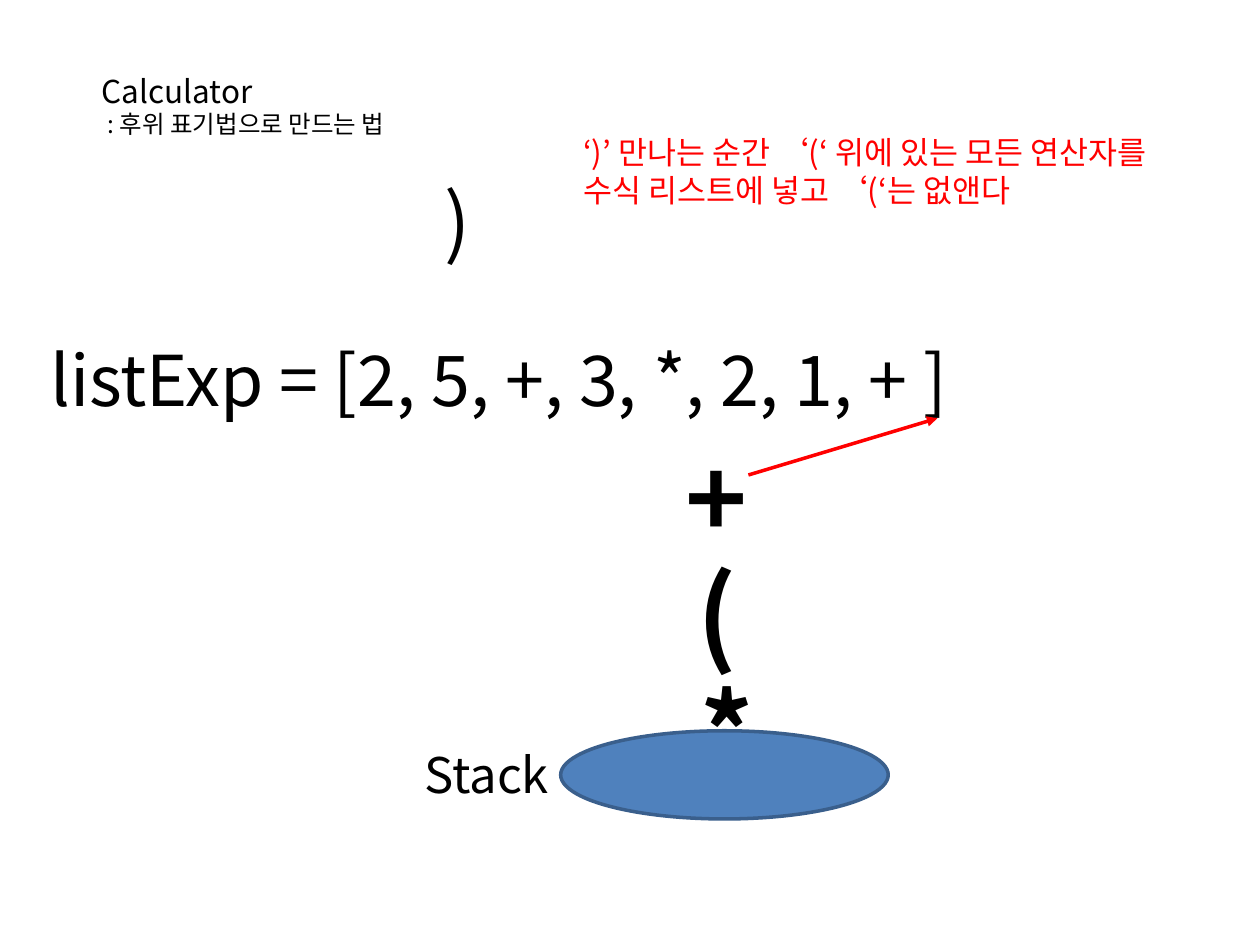
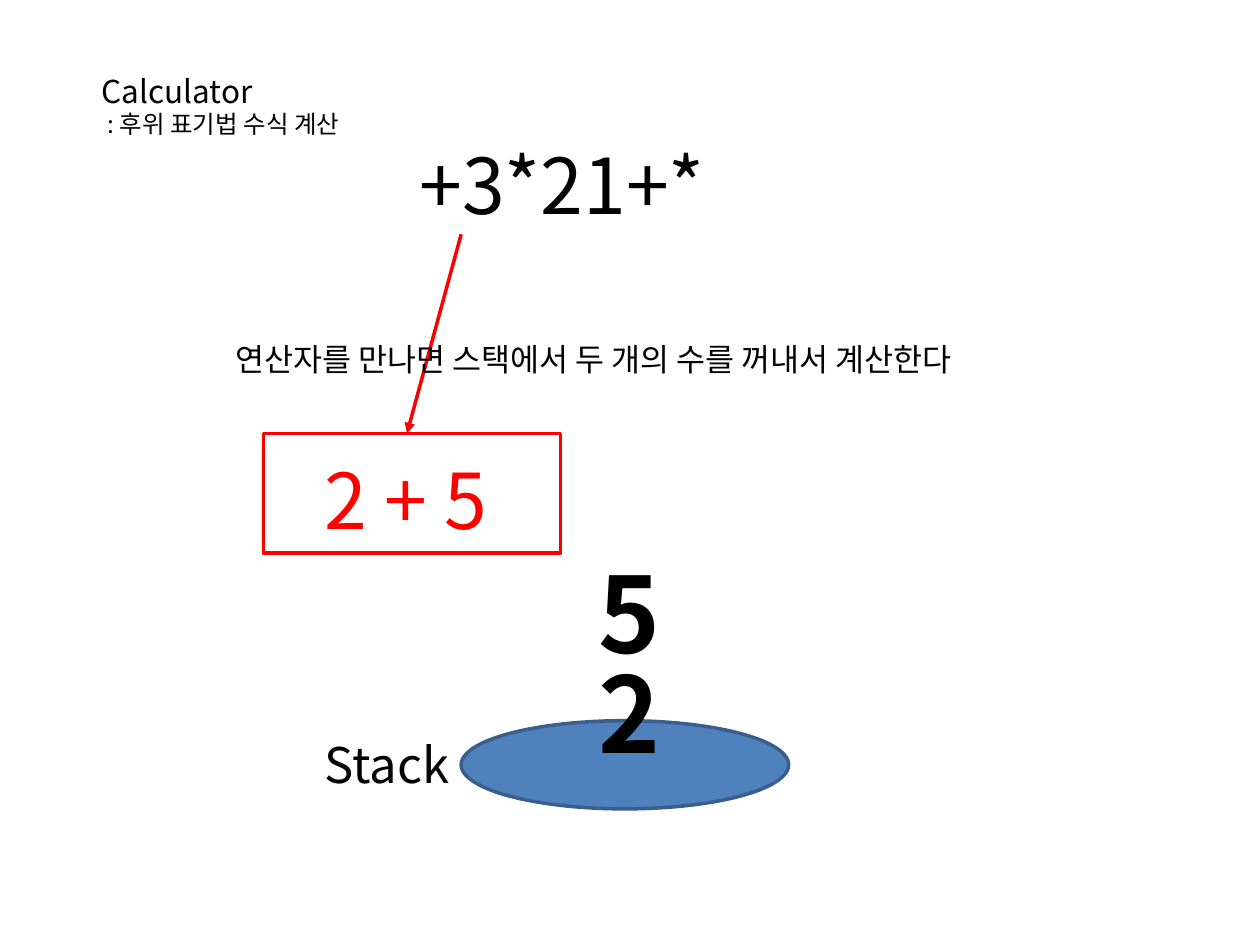
from dataclasses import dataclass

from lxml.etree import SubElement
from pptx import Presentation
from pptx.dml.color import RGBColor
from pptx.enum.shapes import MSO_CONNECTOR as Connector, MSO_SHAPE as Preset
from pptx.enum.text import MSO_AUTO_SIZE as AutoSize
from pptx.oxml.ns import qn
from pptx.shapes.autoshape import Shape
from pptx.slide import Slide
from pptx.util import Inches, Pt


@dataclass(frozen=True)
class Theme:
    font: str = "Noto Sans CJK KR"
    ink: RGBColor = RGBColor(0, 0, 0)
    accent: RGBColor = RGBColor(255, 0, 0)
    base_fill: RGBColor = RGBColor(0x4F, 0x81, 0xBD)
    base_line: RGBColor = RGBColor(0x3A, 0x5F, 0x8C)
    line_width: float = 2
    subtitle: float = 14
    body: float = 18
    label: float = 28
    expression: float = 40
    token: float = 44
    stacked: float = 60


THEME = Theme()


@dataclass(frozen=True)
class Box:
    left: float
    top: float
    width: float
    height: float

    def lengths(self) -> list[Inches]:
        return [Inches(v) for v in (self.left, self.top, self.width, self.height)]


@dataclass(frozen=True)
class StackItem:
    symbol: str
    box: Box


def add_text(slide: Slide, text: str, box: Box, *, size: float = THEME.body,
             color: RGBColor = THEME.ink, bold: bool = False,
             later_size: float | None = None) -> None:
    frame = slide.shapes.add_textbox(*box.lengths()).text_frame
    frame.word_wrap = False
    frame.auto_size = AutoSize.SHAPE_TO_FIT_TEXT
    for index, line in enumerate(text.split("\n")):
        paragraph = frame.add_paragraph() if index else frame.paragraphs[0]
        run = paragraph.add_run()
        run.text = line
        run.font.name = THEME.font
        run.font.size = Pt(later_size if index and later_size else size)
        run.font.bold = bold
        run.font.color.rgb = color
        SubElement(run.font._element, qn("a:ea"), typeface=THEME.font)


def add_preset(slide: Slide, preset: Preset, box: Box, line: RGBColor,
               fill: RGBColor | None = None) -> Shape:
    shape = slide.shapes.add_shape(preset, *box.lengths())
    shape.shadow.inherit = False
    if fill is None:
        shape.fill.background()
    else:
        shape.fill.solid()
        shape.fill.fore_color.rgb = fill
    shape.line.color.rgb = line
    shape.line.width = Pt(THEME.line_width)
    return shape


def add_arrow(slide: Slide, start: tuple[float, float], end: tuple[float, float]) -> None:
    points = [Inches(value) for value in (*start, *end)]
    arrow = slide.shapes.add_connector(Connector.STRAIGHT, *points)
    arrow.line.color.rgb = THEME.accent
    arrow.line.width = Pt(THEME.line_width)
    SubElement(arrow.line._get_or_add_ln(), qn("a:tailEnd"), type="triangle")
    SubElement(arrow._element.spPr, qn("a:effectLst"))


def add_heading(slide: Slide, subtitle: str, width: float) -> None:
    add_text(slide, f"Calculator\n : {subtitle}", Box(0.71, 0.52, width, 0.64),
             later_size=THEME.subtitle)


def add_stack(slide: Slide, left: float, top: float, items: list[StackItem]) -> None:
    add_text(slide, "Stack", Box(left - 1.18, top + 0.06, 1.26, 0.57), size=THEME.label)
    add_preset(slide, Preset.OVAL, Box(left, top, 2.6, 0.7), THEME.base_line, THEME.base_fill)
    for item in items:
        add_text(slide, item.symbol, item.box, size=THEME.stacked, bold=True)


def build_conversion(slide: Slide) -> None:
    add_heading(slide, "후위 표기법으로 만드는 법", 2.75)
    add_text(slide, ")", Box(3.43, 1.33, 0.41, 0.84), size=THEME.token)
    add_text(slide, "listExp = [2, 5, +, 3, *, 2, 1, + ]", Box(0.3, 2.62, 7.95, 0.77),
             size=THEME.expression)
    add_stack(slide, 4.45, 5.8, [
        StackItem("*", Box(5.46, 5.24, 0.59, 1.11)),
        StackItem("(", Box(5.44, 4.31, 0.5, 1.11)),
        StackItem("+", Box(5.34, 3.39, 0.81, 1.11)),
    ])
    add_arrow(slide, (5.94, 3.77), (7.44, 3.32))
    add_text(slide, "‘)’ 만나는 순간 ‘(‘ 위에 있는 모든 연산자를\n수식 리스트에 넣고 ‘(‘는 없앤다",
             Box(4.53, 1.01, 5.09, 0.71), color=THEME.accent)


def build_evaluation(slide: Slide) -> None:
    add_heading(slide, "후위 표기법 수식 계산", 2.35)
    add_stack(slide, 3.66, 5.72, [
        StackItem("2", Box(4.65, 5.1, 0.69, 1.11)),
        StackItem("5", Box(4.65, 4.3, 0.69, 1.11)),
    ])
    add_text(slide, "+3*21+*", Box(3.23, 1.04, 2.61, 1.14), size=THEME.token)
    add_arrow(slide, (3.66, 1.86), (3.23, 3.44))
    add_text(slide, "연산자를 만나면 스택에서 두 개의 수를 꺼내서 계산한다",
             Box(1.77, 2.65, 6.63, 0.4))
    add_text(slide, "2 + 5", Box(2.48, 3.54, 1.75, 0.84), size=THEME.token,
             color=THEME.accent)
    add_preset(slide, Preset.RECTANGLE, Box(2.09, 3.44, 2.36, 0.95), THEME.accent)


def main() -> None:
    presentation = Presentation()
    presentation.slide_width = Inches(10)
    presentation.slide_height = Inches(7.5)
    blank = presentation.slide_layouts[6]
    for build in (build_conversion, build_evaluation):
        build(presentation.slides.add_slide(blank))
    presentation.save("out.pptx")


if __name__ == "__main__":
    main()
